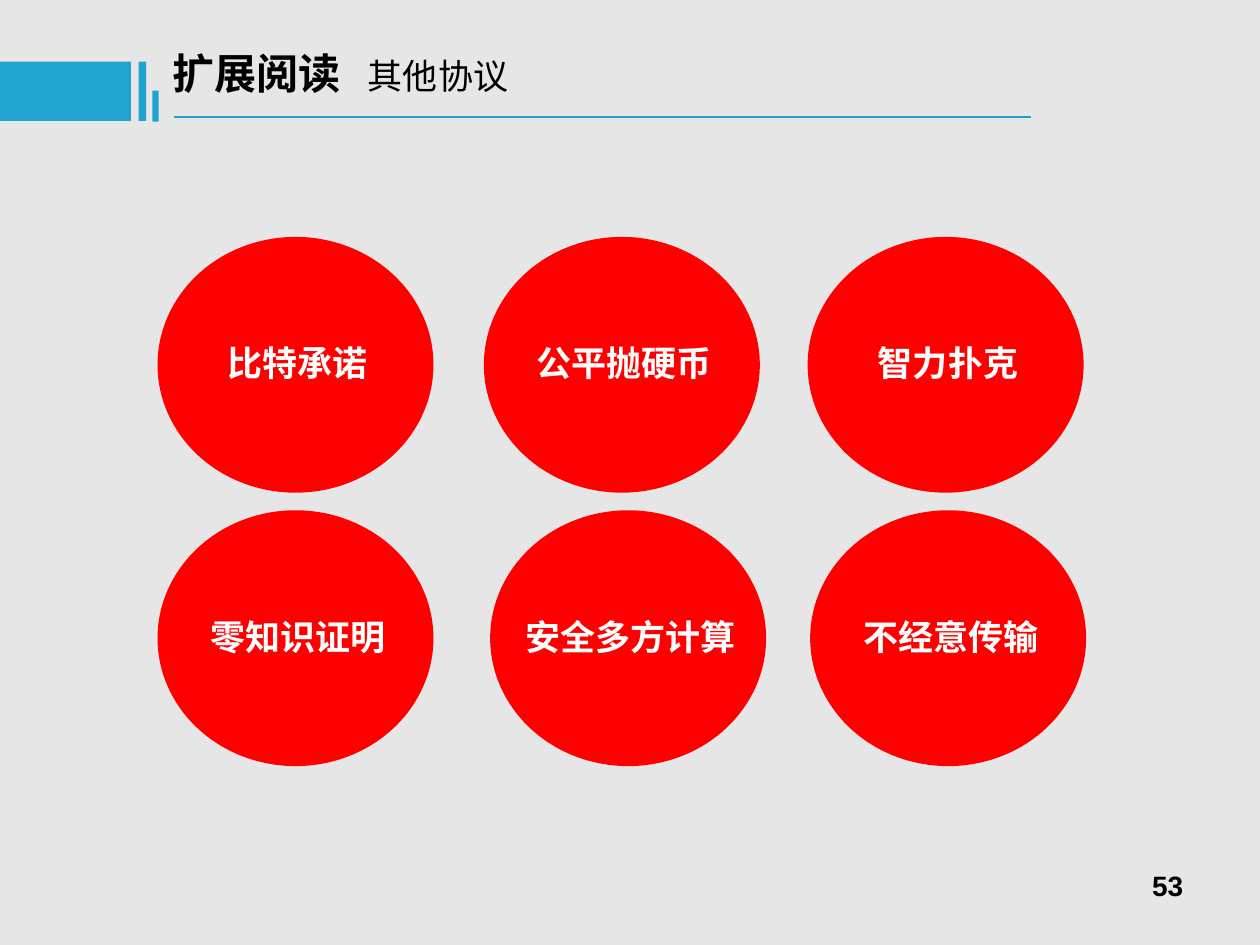
"""Build the further-reading slide: six other protocols shown as circles."""
from lxml import etree
from pptx import Presentation
from pptx import util as u
from pptx.dml.color import RGBColor
from pptx.enum import shapes, text
from pptx.oxml.ns import qn

COLORS = {"back": "E7E6E6", "accent": "21A3D0", "circle": "FF0000",
          "dark": "000000", "light": "FFFFFF"}
CJK = "Noto Sans CJK SC"

prs = Presentation()
prs.slide_width, prs.slide_height = u.Inches(10), u.Inches(7.5)
W, H = prs.slide_width, prs.slide_height


def share(x, y, w, h):
    return [int(W * x / 100), int(H * y / 100), int(W * w / 100), int(H * h / 100)]


def write(p, words, size=20, bold=True, color="dark", font=CJK, align=None):
    p.alignment = align
    r = p.add_run()
    r.text = words
    r.font.size, r.font.bold = u.Pt(size), bold
    r.font.color.rgb = RGBColor.from_string(COLORS[color])
    r.font.name = font
    etree.SubElement(r.font._element, qn("a:ea"), typeface=font)


s = prs.slides.add_slide(prs.slide_layouts[5])
s.background.fill.solid()
s.background.fill.fore_color.rgb = RGBColor.from_string(COLORS["back"])

title = s.shapes.title
title.left, title.top, title.width, title.height = share(12.7, 4.4, 76.4, 6.67)
tf = title.text_frame
tf.vertical_anchor = text.MSO_ANCHOR.MIDDLE
tf.auto_size = text.MSO_AUTO_SIZE.NONE
p = tf.paragraphs[0]
tabs = etree.SubElement(p._p.get_or_add_pPr(), qn("a:tabLst"))
etree.SubElement(tabs, qn("a:tab"), pos=str(u.Inches(1.55)), algn="l")
write(p, "扩展阅读\t", size=24, align=text.PP_ALIGN.LEFT)
write(p, "其他协议", bold=False, align=text.PP_ALIGN.LEFT)

RECT, OVAL = shapes.MSO_SHAPE.RECTANGLE, shapes.MSO_SHAPE.OVAL
bars = [(0, 6.53, 10.4, 6.27), (11, 6.53, 0.6, 6.27), (12.1, 9.6, 0.5, 3.27)]
rows = [(25.07, [(12.5, "比特承诺"), (38.4, "公平抛硬币"), (64.1, "智力扑克")]),
        (54, [(12.5, "零知识证明"), (38.9, "安全多方计算"), (64.3, "不经意传输")])]
circle_w, circle_h = 21.9, 27.07

parts = [(RECT, bar, "accent", "") for bar in bars]
parts += [(OVAL, (x, y, circle_w, circle_h), "circle", name)
          for y, row in rows for x, name in row]

for kind, place, color, name in parts:
    sp = s.shapes.add_shape(kind, *share(*place))
    sp.shadow.inherit = False
    sp.fill.solid()
    sp.fill.fore_color.rgb = RGBColor.from_string(COLORS[color])
    sp.line.fill.background()
    if name:
        x, y, w, h = place
        label_w = 2 + 2.78 * len(name)
        label = s.shapes.add_textbox(
            *share(x + (w - label_w) / 2 + 0.2, y + 10.4, label_w, 5.87))
        tf = label.text_frame
        tf.word_wrap = False
        tf.vertical_anchor = text.MSO_ANCHOR.MIDDLE
        write(tf.paragraphs[0], name, color="light", align=text.PP_ALIGN.CENTER)

x, y, w, h = share(13.8, 12.4, 68, 0)
rule = s.shapes.add_connector(shapes.MSO_CONNECTOR.STRAIGHT, x, y, x + w, y)
rule.line.color.rgb = RGBColor.from_string(COLORS["accent"])
rule.line.width = u.Pt(1.5)
etree.SubElement(rule._element.spPr, qn("a:effectLst"))

number = s.shapes.add_textbox(*share(71.7, 91.07, 23.3, 6.93))
tf = number.text_frame
tf.word_wrap = True
tf.margin_left = tf.margin_right = u.Inches(0.11)
tf.margin_top = tf.margin_bottom = u.Inches(0.06)
write(tf.paragraphs[0], "53", size=16, font="Arial", align=text.PP_ALIGN.RIGHT)

prs.save("out.pptx")
